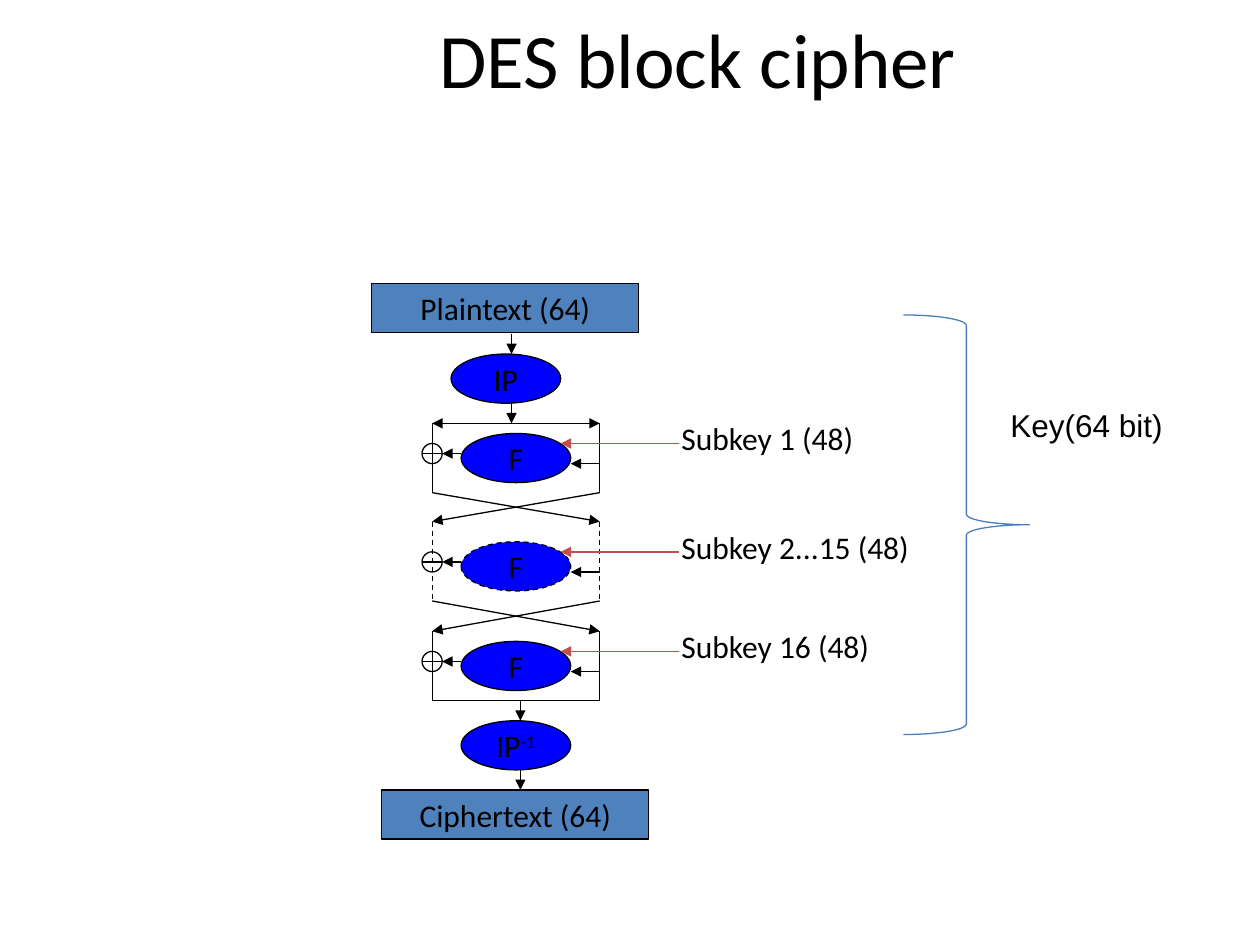
from lxml import etree
from pptx import Presentation
from pptx.dml.color import RGBColor
from pptx.enum.dml import MSO_LINE
from pptx.enum.shapes import MSO_CONNECTOR, MSO_SHAPE as SHAPE
from pptx.enum.text import MSO_ANCHOR as ANCHOR, PP_ALIGN as ALIGN
from pptx.oxml.ns import qn
from pptx.util import Inches, Pt

BLACK = RGBColor(0x00, 0x00, 0x00)
BLUE = RGBColor(0x00, 0x00, 0xFF)
STEEL = RGBColor(0x4F, 0x81, 0xBD)
BRACE_BLUE = RGBColor(0x4B, 0x7E, 0xBC)
RED = RGBColor(0xC0, 0x50, 0x4D)

LEFT, RIGHT = 3.43, 4.76        # the two half-block lines
F_LEFT, OVAL_WIDTH = 3.66, 0.87
NODE_HEIGHT = 0.39
XOR_SIZE = 0.16
BLOCK_WIDTH = 2.12
# top, bottom, top of F, dashed, subkey label, label width
ROUNDS = [
    (3.36, 3.91, 3.44, False, "Subkey 1 (48)", 2.01),
    (4.14, 4.77, 4.30, True, "Subkey 2...15 (48)", 2.6),
    (5.01, 5.56, 5.09, False, "Subkey 16 (48)", 2.17),
]


class Diagram:
    def __init__(self, slide, font="Calibri", size=18, line_width=0.75):
        self.slide = slide
        self.font, self.size, self.line_width = font, size, line_width

    def add_text(self, frame, text, align, superscript="", **font_changes):
        paragraph = frame.paragraphs[0]
        paragraph.alignment = align
        style = {"name": self.font, "size": Pt(self.size), **font_changes}
        for part in filter(None, (text, superscript)):
            run = paragraph.add_run()
            run.text = part
            run.font.color.rgb = BLACK
            for key, value in style.items():
                setattr(run.font, key, value)
        if superscript:
            run.font._element.set("baseline", "30000")

    def stroke(self, line, color, dashed):
        line.color.rgb = color
        line.width = Pt(self.line_width)
        if dashed:
            line.dash_style = MSO_LINE.DASH

    def title(self, text, *box):
        title = self.slide.shapes.title
        for key, value in zip(("left", "top", "width", "height"), box):
            setattr(title, key, Inches(value))
        title.text_frame.vertical_anchor = ANCHOR.MIDDLE
        self.add_text(title.text_frame, text, ALIGN.CENTER, size=Pt(44))

    def outline(self, preset, *box, color=BLACK, dashed=False):
        """Add an unfilled shape."""
        shape = self.slide.shapes.add_shape(preset, *map(Inches, box))
        shape.shadow.inherit = False
        shape.fill.background()
        self.stroke(shape.line, color, dashed)
        return shape

    def node(self, preset, fill, text, left, top, width, superscript="", dashed=False):
        shape = self.outline(preset, left, top, width, NODE_HEIGHT, dashed=dashed)
        shape.fill.solid()
        shape.fill.fore_color.rgb = fill
        frame = shape.text_frame
        frame.word_wrap = False
        frame.vertical_anchor = ANCHOR.MIDDLE
        self.add_text(frame, text, ALIGN.CENTER, superscript)

    def oval(self, text, left, top, **options):
        self.node(SHAPE.OVAL, BLUE, text, left, top, OVAL_WIDTH, **options)

    def block(self, text, left, top):
        self.node(SHAPE.RECTANGLE, STEEL, text, left, top, BLOCK_WIDTH)

    def line(self, x1, y1, x2, y2, color=BLACK, dashed=False, ends=()):
        """Add a line; ends may name headEnd (start) and tailEnd (finish)."""
        connector = self.slide.shapes.add_connector(
            MSO_CONNECTOR.STRAIGHT, *map(Inches, (x1, y1, x2, y2)))
        self.stroke(connector.line, color, dashed)
        properties = connector._element.spPr
        for end in ends:
            etree.SubElement(properties.find(qn("a:ln")), qn(f"a:{end}"), type="triangle")
        etree.SubElement(properties, qn("a:effectLst"))

    def arrow(self, x1, y1, x2, y2, **options):
        self.line(x1, y1, x2, y2, ends=("tailEnd",), **options)

    def label(self, text, left, top, width, **font_changes):
        box = self.slide.shapes.add_textbox(*map(Inches, (left, top, width, 0.4)))
        box.text_frame.word_wrap = True
        self.add_text(box.text_frame, text, ALIGN.LEFT, **font_changes)

    def feistel_round(self, top, bottom, f_top, dashed, subkey, label_width):
        f_right = F_LEFT + OVAL_WIDTH
        xor_left, xor_right = LEFT - XOR_SIZE / 2, LEFT + XOR_SIZE / 2
        key_y, xor_y, input_y = (f_top + step * 0.08 for step in (1, 2, 3))
        for x in (LEFT, RIGHT):
            self.line(x, top, x, bottom, dashed=dashed)
        self.oval("F", F_LEFT, f_top, dashed=dashed)
        self.arrow(RIGHT, input_y, f_right, input_y)
        self.arrow(F_LEFT, xor_y, xor_right, xor_y)
        self.outline(SHAPE.OVAL, xor_left, key_y, XOR_SIZE, XOR_SIZE)
        self.line(xor_left, xor_y, xor_right, xor_y)
        self.arrow(5.39, key_y, 4.45, key_y, color=RED)
        self.label(subkey, 5.31, f_top - 0.16, label_width)


def main():
    deck = Presentation()
    deck.slide_width, deck.slide_height = Inches(10), Inches(7.5)
    diagram = Diagram(deck.slides.add_slide(deck.slide_layouts[5]))
    diagram.title("DES block cipher", 1.08, 0, 8.92, 0.91)

    diagram.block("Plaintext (64)", 2.95, 2.25)
    diagram.oval("IP", 3.58, 2.81)
    diagram.oval("IP", F_LEFT, 5.72, superscript="-1")
    diagram.block("Ciphertext (64)", 3.03, 6.27)
    for x, y in ((4.06, 2.65), (4.06, 3.2), (4.13, 5.56), (4.13, 6.11)):
        diagram.arrow(x, y, x, y + 0.16)

    for cipher_round in ROUNDS:
        diagram.feistel_round(*cipher_round)
    for upper, lower in zip(ROUNDS, ROUNDS[1:]):
        for start, end in ((LEFT, RIGHT), (RIGHT, LEFT)):
            diagram.arrow(start, upper[1], end, lower[0])
    split_y, join_y = ROUNDS[0][0], ROUNDS[-1][1]
    diagram.line(LEFT, split_y, RIGHT, split_y, ends=("headEnd", "tailEnd"))
    diagram.line(LEFT, join_y, RIGHT, join_y)

    diagram.outline(SHAPE.RIGHT_BRACE, 7.17, 2.5, 1, 3.33, color=BRACE_BLUE)
    diagram.label("Key(64 bit)", 7.92, 3.17, 1.58, name="Arial")
    deck.save("out.pptx")


if __name__ == "__main__":
    main()
